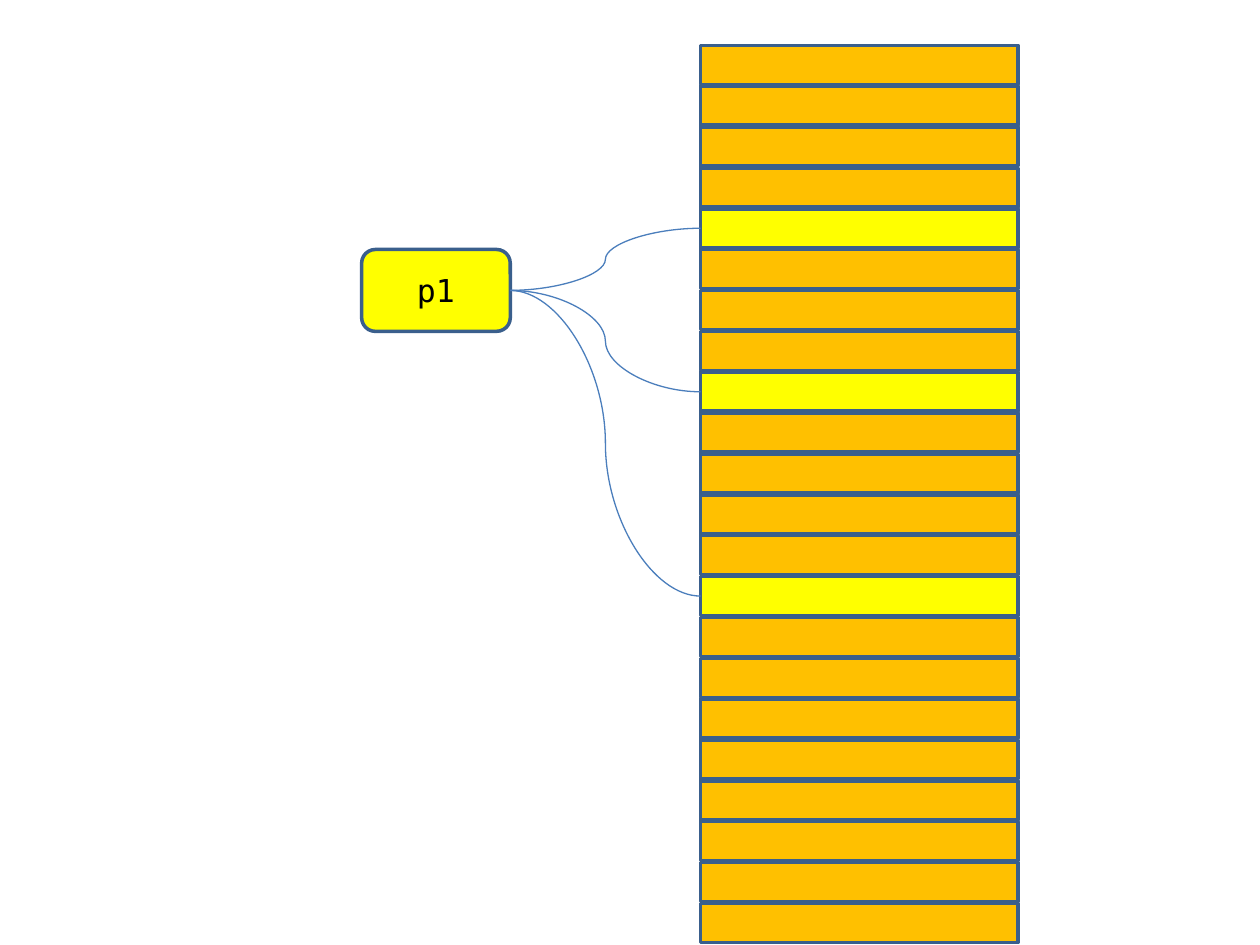
from collections import namedtuple
from dataclasses import dataclass

from lxml.etree import SubElement
from pptx import Presentation
from pptx.dml.color import RGBColor
from pptx.enum.shapes import MSO_CONNECTOR as Connector, MSO_SHAPE as Shape
from pptx.enum.text import MSO_ANCHOR as Anchor, PP_ALIGN as Align
from pptx.oxml.ns import qn
from pptx.util import Pt

PX = 9144
LEFT_SITE, RIGHT_SITE = 1, 3
Box = namedtuple("Box", "left top width height")


@dataclass(frozen=True)
class Theme:
    """Colours, font and sizes shared by the whole slide."""
    free: str = "FFC000"
    used: str = "FFFF00"
    border: str = "3A5F8C"
    link: str = "4B7EBC"
    ink: str = "000000"
    font: str = "DejaVu Sans Mono"
    text_size: float = 18
    border_width: float = 2
    link_width: float = 0.75


THEME = Theme()


def color(name):
    """Return the theme colour called name."""
    return RGBColor.from_string(getattr(THEME, name))


def add_block(page, kind, box, fill):
    """Draw one bordered, filled shape in the box."""
    block = page.shapes.add_shape(kind, *(round(side * PX) for side in box))
    block.shadow.inherit = False
    block.fill.solid()
    block.fill.fore_color.rgb = color(fill)
    block.line.color.rgb = color("border")
    block.line.width = Pt(THEME.border_width)
    return block


def add_memory(page, box, count, cell_height, used):
    """Stack count evenly spaced cells in the box and return them."""
    pitch = (box.height - cell_height) / (count - 1)
    return [
        add_block(
            page,
            Shape.RECTANGLE,
            Box(box.left, box.top + index * pitch, box.width, cell_height),
            "used" if index in used else "free",
        )
        for index in range(count)
    ]


def add_pointer(page, box, label):
    """Draw the labelled pointer in the box and return it."""
    pointer = add_block(page, Shape.ROUNDED_RECTANGLE, box, "used")
    frame = pointer.text_frame
    frame.text = label
    frame.vertical_anchor = Anchor.MIDDLE
    para = frame.paragraphs[0]
    para.alignment = Align.CENTER
    font = para.runs[0].font
    font.name = THEME.font
    font.size = Pt(THEME.text_size)
    font.color.rgb = color("ink")
    return pointer


def add_link(page, pointer, cell):
    """Join the pointer to a cell with a curve."""
    link = page.shapes.add_connector(Connector.CURVE, 0, 0, 0, 0)
    link.begin_connect(pointer, RIGHT_SITE)
    link.end_connect(cell, LEFT_SITE)
    link.line.color.rgb = color("link")
    link.line.width = Pt(THEME.link_width)
    SubElement(link._element.spPr, qn("a:effectLst"))


def main():
    """Build the slide and save the deck."""
    deck = Presentation()
    deck.slide_width, deck.slide_height = 1000 * PX, 750 * PX
    page = deck.slides.add_slide(deck.slide_layouts[6])
    used = (4, 8, 13)
    cells = add_memory(page, Box(556, 36, 252, 712), 22, 31, used)
    pointer = add_pointer(page, Box(287, 198, 118, 65), "p1")
    for index in used:
        add_link(page, pointer, cells[index])
    deck.save("out.pptx")


if __name__ == "__main__":
    main()
